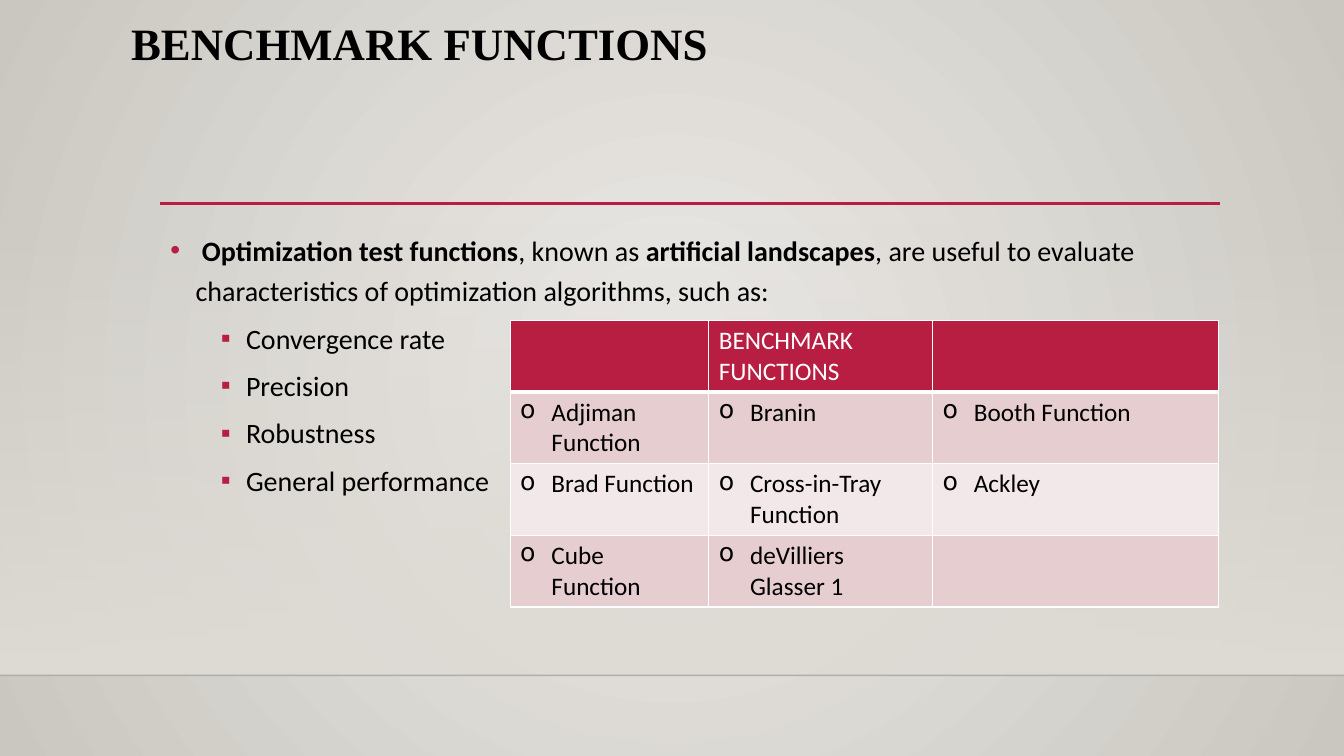
from lxml import etree
from pptx import Presentation
from pptx.dml.color import RGBColor
from pptx.enum import shapes, text
from pptx.oxml import ns
from pptx.util import Inches, Pt

TITLE = "BENCHMARK FUNCTIONS"
INTRO = [
    ("\u00a0Optimization test functions", True),
    (", known as ", False),
    ("artificial landscapes", True),
    (", are useful to evaluate characteristics of optimization algorithms, such as:", False),
]
GOALS = ["Convergence rate", "Precision", "Robustness", "General performance"]
GRID = [
    ("", "BENCHMARK FUNCTIONS", ""),
    ("Adjiman Function", "Branin", "Booth Function"),
    ("Brad Function", "Cross-in-Tray Function", "Ackley"),
    ("Cube Function", "deVilliers Glasser 1", ""),
]
COLS = [1.97, 2.22, 2.84]
ROW = 0.71
WIDE, HIGH, FLOOR = 13.33, 7.5, 6.7

RED = RGBColor(0xB7, 0x1E, 0x42)
PINK = RGBColor(0xE6, 0xCD, 0xCF)
PALE = RGBColor(0xF3, 0xE8, 0xE9)
BLACK = RGBColor(0, 0, 0)
WHITE = RGBColor(255, 255, 255)
INK = RGBColor(0, 0, 1)
LIGHT = RGBColor(0xEC, 0xEA, 0xE7)
DARK = RGBColor(0xCA, 0xC7, 0xC1)
SAND = RGBColor(0xDF, 0xDB, 0xD5)

HEAD = dict(name="Times New Roman", size=Pt(32), bold=True)
BODY = dict(name="Calibri", size=Pt(20))
CELL = dict(name="Calibri", size=Pt(18), bold=False)


def add(node, tag, **attrs):
    return etree.SubElement(node, ns.qn(tag), attrs)


def style(font, color, form):
    for key, val in form.items():
        setattr(font, key, val)
    font.color.rgb = color


def write(para, words, color, form):
    run = para.add_run()
    run.text = words
    style(run.font, color, form)


def bullet(para, sign, left, hang, color=None):
    props = para._p.get_or_add_pPr()
    props.set("marL", str(Inches(left)))
    props.set("indent", str(-Inches(hang)))
    if color:
        add(add(props, "a:buClr"), "a:srgbClr", val=str(color))
    add(props, "a:buChar", char=sign)


def blend(fill, first, last):
    fill.gradient()
    for stop, color in zip(fill.gradient_stops, (first, last)):
        stop.color.rgb = color


def fade(node, part):
    tone = node.find(".//" + ns.qn("a:srgbClr"))
    add(tone, "a:alpha", val=str(part * 1000))


def rule(left, right, top, color, width):
    line = slide.shapes.add_connector(
        shapes.MSO_CONNECTOR.STRAIGHT, Inches(left), Inches(top), Inches(right), Inches(top))
    line.line.color.rgb = color
    line.line.width = Pt(width)
    add(line.element.spPr, "a:effectLst")
    return line


def place(item, left, top, width, height):
    item.left, item.top, item.width, item.height = map(Inches, (left, top, width, height))
    frame = item.text_frame
    frame.word_wrap = True
    frame.auto_size = text.MSO_AUTO_SIZE.NONE
    frame.vertical_anchor = text.MSO_ANCHOR.TOP
    slide.shapes._spTree.append(item.element)
    return frame


def border(cell, base):
    props = cell._tc.get_or_add_tcPr()
    for side, width in (("L", 1), ("R", 1), ("T", 1), ("B", base)):
        edge = add(props, "a:ln" + side, w=str(Pt(width)))
        add(add(edge, "a:solidFill"), "a:srgbClr", val=str(WHITE))


deck = Presentation()
deck.slide_width, deck.slide_height = Inches(WIDE), Inches(HIGH)
slide = deck.slides.add_slide(deck.slide_layouts[1])

blend(slide.background.fill, LIGHT, DARK)
lin = slide.element.find(".//" + ns.qn("a:lin"))
ring = add(lin.getparent(), "a:path", path="circle")
add(ring, "a:fillToRect", l="50000", t="50000", r="50000", b="50000")
lin.getparent().remove(lin)

band = slide.shapes.add_shape(
    shapes.MSO_SHAPE.RECTANGLE, 0, Inches(2.21), Inches(WIDE), Inches(FLOOR - 2.21))
band.shadow.inherit = False
band.line.fill.background()
blend(band.fill, SAND, SAND)
band.fill.gradient_angle = 270
fade(band.element, 0)

fade(rule(0, WIDE, FLOOR, INK, 1).element, 20)
rule(1.59, 12.1, 2.02, RED, 2.5)

para = place(slide.shapes.title, 1.2, 0.17, 11, 1.59).paragraphs[0]
para.alignment = text.PP_ALIGN.LEFT
para.line_spacing = 0.9
write(para, TITLE, BLACK, HEAD)

frame = place(slide.placeholders[1], 1.59, 2.2, 10.5, 3.77)
para = frame.paragraphs[0]
para.line_spacing, para.space_before = 1.2, Pt(10)
bullet(para, "•", 0.25, 0.25, RED)
for words, bold in INTRO:
    write(para, words, BLACK, dict(BODY, bold=bold))
for goal in GOALS:
    para = frame.add_paragraph()
    para.level, para.line_spacing, para.space_before = 1, 1.2, Pt(5)
    bullet(para, "▪", 0.75, 0.25, RED)
    write(para, goal, BLACK, BODY)

table = slide.shapes.add_table(
    len(GRID), len(COLS), Inches(5.06), Inches(3.18),
    Inches(sum(COLS)), Inches(ROW * len(GRID))).table
for col, width in zip(table.columns, COLS):
    col.width = Inches(width)
for r, names in enumerate(GRID):
    table.rows[r].height = Inches(ROW)
    for c, name in enumerate(names):
        cell = table.cell(r, c)
        border(cell, 1 if r else 3)
        cell.fill.solid()
        cell.fill.fore_color.rgb = RED if r == 0 else PINK if r % 2 else PALE
        if name:
            para = cell.text_frame.paragraphs[0]
            if r:
                bullet(para, "o", 0.31, 0.31)
            write(para, name, BLACK if r else WHITE, CELL)

deck.save("out.pptx")
